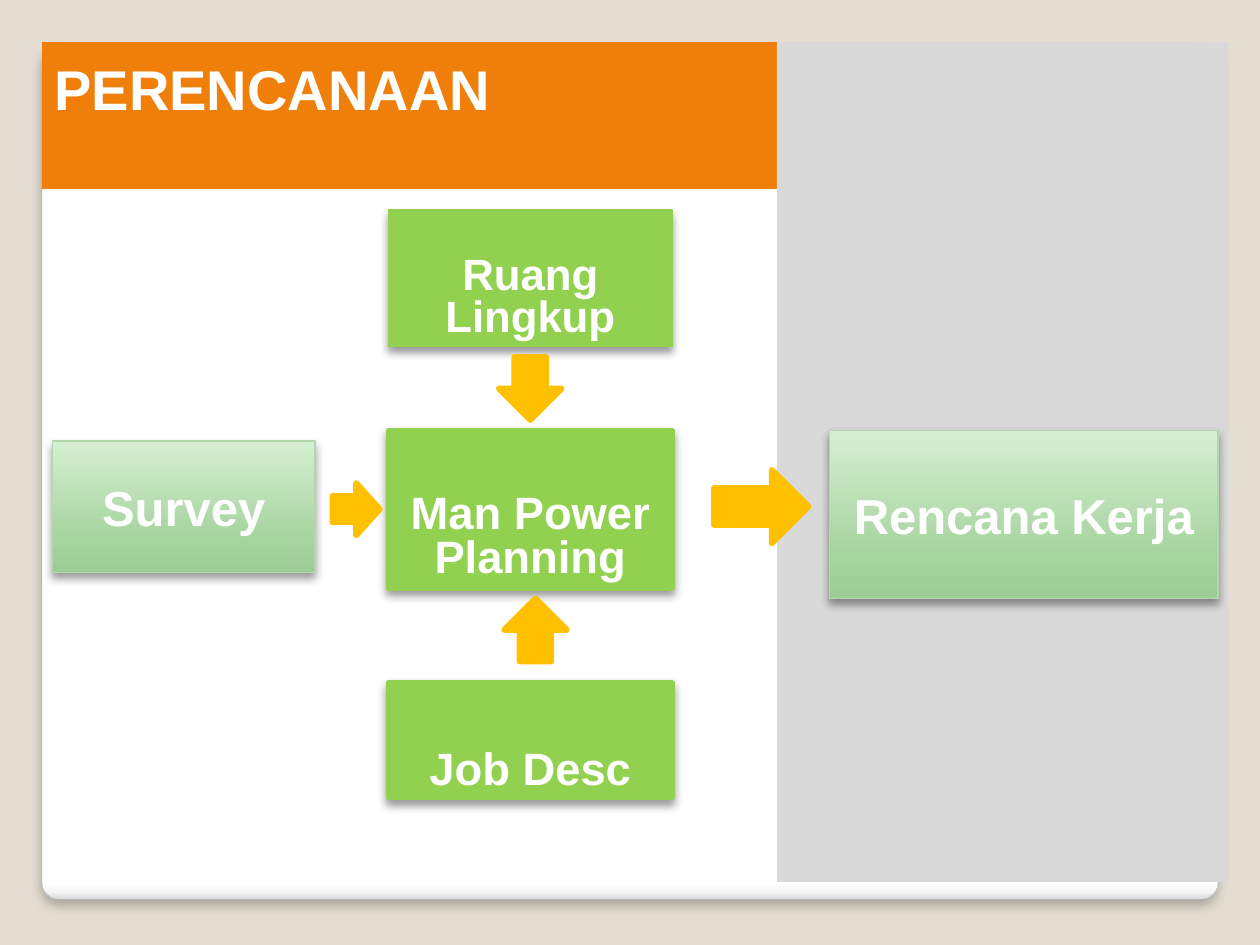
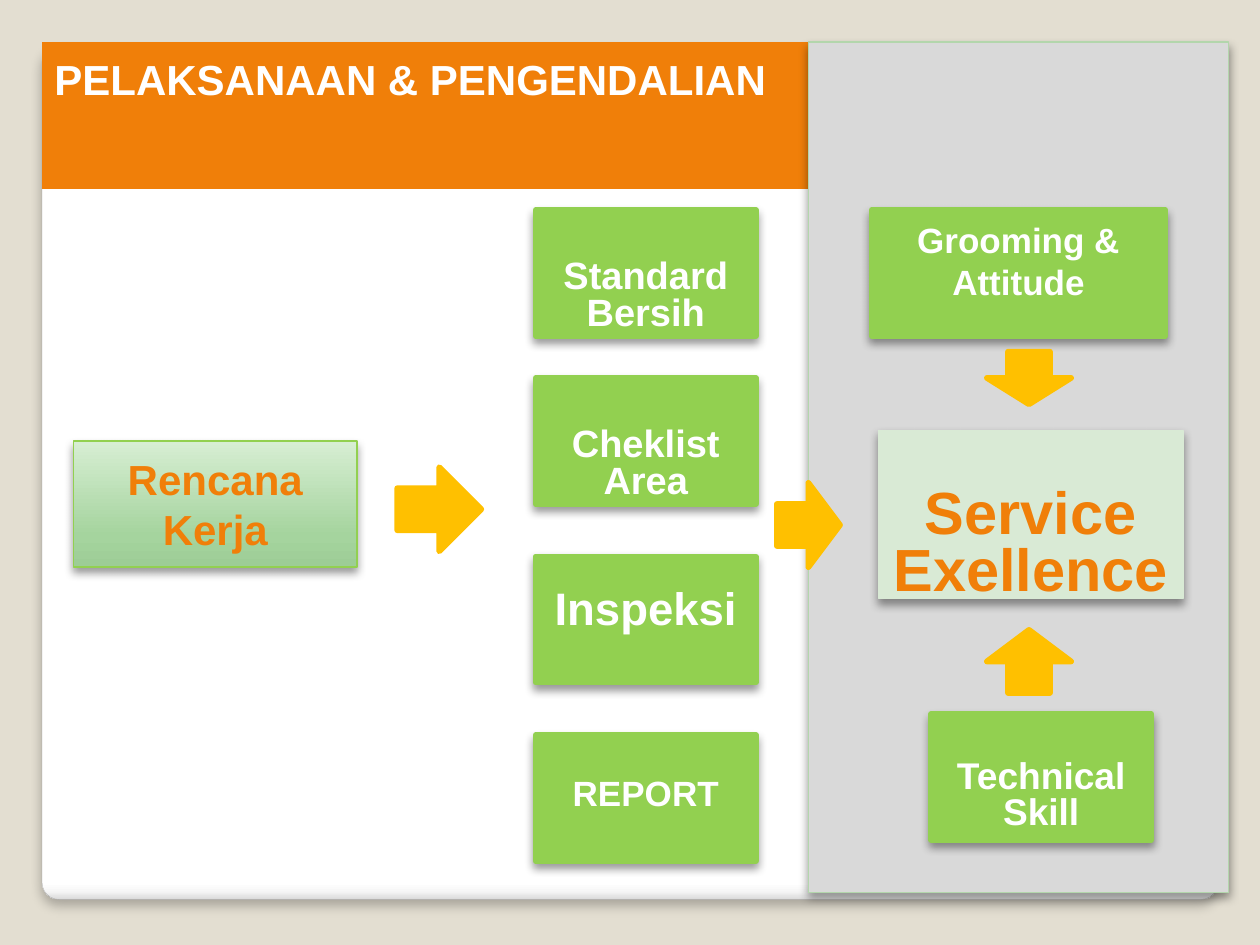
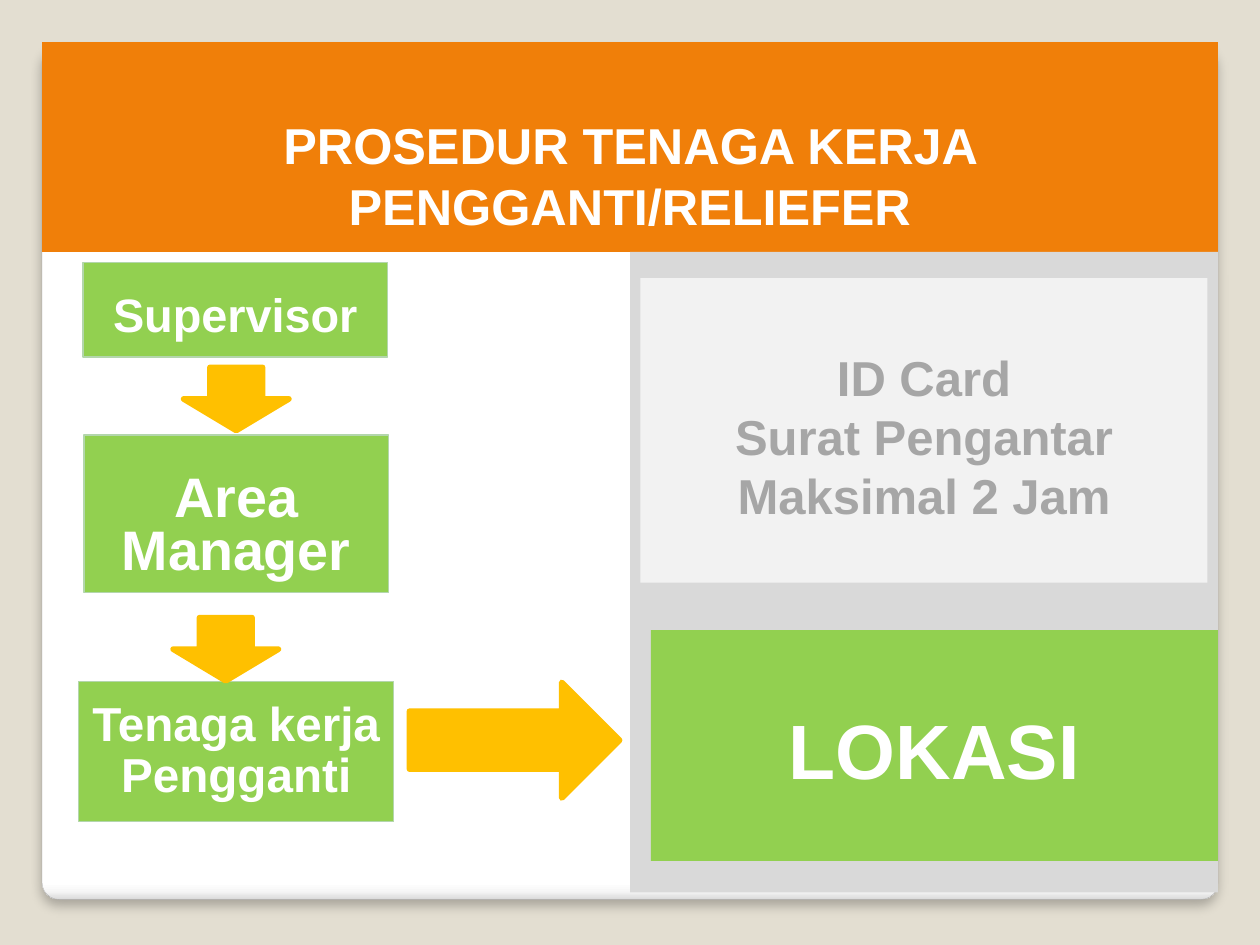
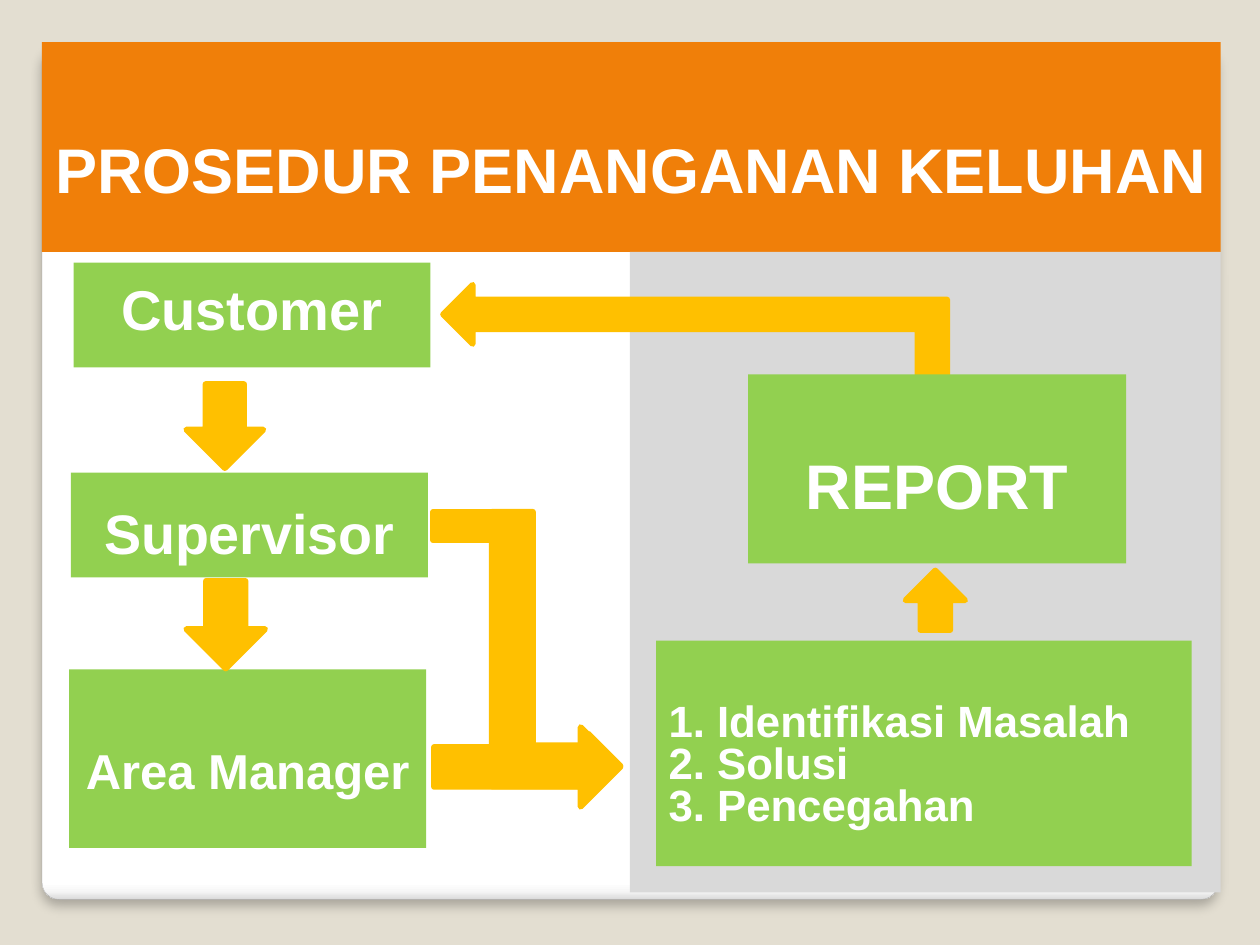
from lxml import etree
from pptx import Presentation
from pptx import util as u
from pptx.dml.color import RGBColor
from pptx.enum import shapes, text
from pptx.oxml import ns

Pt = u.Pt
KIND = shapes.MSO_SHAPE
CENTER, LEFT = text.PP_ALIGN.CENTER, text.PP_ALIGN.LEFT

# Shared colours and effects
SAND, ORANGE, GREEN, AMBER = "E3DED1", "F07F09", "92D050", "FFC000"
WHITE, GREY, PALE, SILVER = "FFFFFF", "D9D9D9", "F2F2F2", "A6A6A6"
MINT, MINT_EDGE = "D9EAD5", "B3D6AC"
MINT_FADE = (270, [(0, "9DCD96"), (25, "A5D49E"), (100, "D7EED3")])
PANEL_FADE = (90, [(0, WHITE), (98, WHITE), (99, "F7F7F7"), (100, "DADADA")])
BOX_SHADOW = (40, 5.2, 3)
PANEL_SHADOW = (25, 6, 4)

# Shared box looks: fill, edge, shadow
RAISED = {"fill": GREEN, "edge": (GREEN, 3), "shadow": BOX_SHADOW}
FADED = {"fill": MINT_FADE, "edge": (MINT_EDGE, 0.75), "shadow": BOX_SHADOW}
OUTLINED = {"fill": GREEN, "edge": (MINT_EDGE, 0.75)}
FLAT = {"fill": GREEN}


def color(value):
    return RGBColor.from_string(value)


def set_all(target, values):
    for name, value in values.items():
        setattr(target, name, value)


def add_node(parent, tag, **attributes):
    node = etree.SubElement(parent, ns.qn(tag))
    for name, value in attributes.items():
        node.set(name, str(value))
    return node


class Deck:
    """Holds the style and the slide being built."""

    def __init__(self):
        self.presentation = Presentation()
        set_all(self.presentation, {"slide_width": Pt(720), "slide_height": Pt(540)})
        self.slide = None

    def new_slide(self):
        """Start a slide with the sand background and the white panel."""
        self.slide = self.presentation.slides.add_slide(self.presentation.slide_layouts[6])
        background = self.slide.background.fill
        background.solid()
        background.fore_color.rgb = color(SAND)
        panel = self.shape((24, 26, 672, 488), PANEL_FADE, ("A4A4A4", 0.16),
                           PANEL_SHADOW, KIND.ROUNDED_RECTANGLE)
        panel.adjustments[0] = 0.02

    def shape(self, place, fill, edge=None, shadow=None, kind=KIND.RECTANGLE):
        """Add a preset shape; fill is a hex colour or (angle, stops)."""
        shape = self.slide.shapes.add_shape(kind, *map(Pt, place))
        if isinstance(fill, str):
            shape.fill.solid()
            shape.fill.fore_color.rgb = color(fill)
        else:
            self.fade(shape, *fill)
        if edge:
            shape.line.color.rgb = color(edge[0])
            shape.line.width = Pt(edge[1])
        else:
            shape.line.fill.background()
        shape.shadow.inherit = False
        if shadow:
            self.cast(shape, *shadow)
        return shape

    def fade(self, shape, angle, stops):
        """Replace the fill by a linear gradient."""
        shape.fill.background()
        properties = shape._element.spPr
        gradient = etree.Element(ns.qn("a:gradFill"), rotWithShape="1")
        stop_list = add_node(gradient, "a:gsLst")
        for position, value in stops:
            stop = add_node(stop_list, "a:gs", pos=position * 1000)
            add_node(stop, "a:srgbClr", val=value)
        add_node(gradient, "a:lin", ang=angle * 60000, scaled=0)
        properties.replace(properties.find(ns.qn("a:noFill")), gradient)

    def cast(self, shape, opacity, blur, distance):
        """Drop a black shadow straight down."""
        effects = shape._element.spPr.find(ns.qn("a:effectLst"))
        outer = add_node(effects, "a:outerShdw", blurRad=Pt(blur), dist=Pt(distance),
                         dir=90 * 60000, algn="ctr", rotWithShape=0)
        black = add_node(outer, "a:srgbClr", val="000000")
        add_node(black, "a:alpha", val=opacity * 1000)

    def box(self, place, words, size, top=None, ink=WHITE, spacing=1.0, align=CENTER, **look):
        """Add a labelled box; without a top inset the text is centred vertically."""
        shape = self.shape(place, **look)
        frame = shape.text_frame
        middle = top is None
        set_all(frame, {
            "word_wrap": True,
            "auto_size": text.MSO_AUTO_SIZE.NONE,
            "vertical_anchor": text.MSO_ANCHOR.MIDDLE if middle else text.MSO_ANCHOR.TOP,
            "margin_left": Pt(7.2), "margin_right": Pt(7.2),
            "margin_top": Pt(3.6 if middle else top),
            "margin_bottom": Pt(3.6 if middle else 0),
        })
        frame.text = words
        for paragraph in frame.paragraphs:
            set_all(paragraph, {"alignment": align, "line_spacing": spacing})
            for run in paragraph.runs:
                set_all(run.font, {"name": "Arial", "size": Pt(size), "bold": True})
                run.font.color.rgb = color(ink)

    def title(self, words, size, top, width=666, height=84, align=LEFT):
        self.box((24, 24, width, height), words, size, top, align=align, fill=ORANGE)

    def arrow(self, kind, *place, rotation=0, adjustments=()):
        shape = self.shape(place, AMBER, (AMBER, 3.35), kind=kind)
        shape.rotation = rotation
        for index, value in enumerate(adjustments):
            shape.adjustments[index] = value


def planning(deck):
    deck.new_slide()
    deck.title("PERENCANAAN", 32, 7)
    deck.shape((444, 24, 258, 480), GREY)

    # Inputs, centre and result
    deck.box((222, 120, 162, 78), "Ruang Lingkup", 25, 27, spacing=0.8,
             **{**RAISED, "edge": (GREEN, 0.75)})
    deck.box((222, 246, 162, 90), "Man Power Planning", 25.9, 36.8, spacing=0.8, **RAISED)
    deck.box((222, 390, 162, 66), "Job Desc", 25.9, 36.5, spacing=0.9, **RAISED)
    deck.box((30, 252, 150, 75), "Survey", 28, **FADED)
    deck.box((474, 246, 222, 96), "Rencana Kerja", 28, **FADED)

    # Flow
    deck.arrow(KIND.RIGHT_ARROW, 408, 268.5, 54, 42)
    deck.arrow(KIND.DOWN_ARROW, 285, 204, 36, 36)
    deck.arrow(KIND.UP_ARROW, 288, 342, 36, 36)
    deck.arrow(KIND.RIGHT_ARROW, 190, 276, 27, 30)


def execution(deck):
    deck.new_slide()
    deck.title("PELAKSANAAN & PENGENDALIAN", 24, 6.3)
    deck.shape((462, 24, 240, 486), GREY, (MINT_EDGE, 0.75), BOX_SHADOW)

    # Work plan and control steps
    deck.box((42, 252, 162, 72), "Rencana Kerja", 24, ink=ORANGE,
             **{**FADED, "edge": (GREEN, 0.75)})
    steps = [(120, "Standard Bersih", 21.7, 29, 0.8), (216, "Cheklist Area", 21.7, 29, 0.8),
             (318, "Inspeksi", 26, 13.7, 1.0), (420, "REPORT", 20, 21, 1.0)]
    for y, words, size, top, spacing in steps:
        deck.box((306, y, 126, 72), words, size, top, spacing=spacing, **RAISED)

    # Service column
    deck.box((498, 120, 168, 72), "Grooming & Attitude", 20, 5, **RAISED)
    deck.box((502, 246, 174, 96), "Service Exellence", 34, 33.2, ORANGE, 0.8,
             fill=MINT, edge=(MINT, 0.75), shadow=BOX_SHADOW)
    deck.box((532, 408, 126, 72), "Technical Skill", 21.2, 27, spacing=0.8, **RAISED)

    # Flow
    deck.arrow(KIND.RIGHT_ARROW, 227, 267, 48, 48)
    deck.arrow(KIND.RIGHT_ARROW, 444, 276, 36, 48)
    deck.arrow(KIND.DOWN_ARROW, 564, 201, 48, 30)
    deck.arrow(KIND.UP_ARROW, 564, 360, 48, 36)


def replacement(deck):
    deck.new_slide()
    deck.title("PROSEDUR TENAGA KERJA PENGGANTI/RELIEFER", 28.8, 41.4, 672, 120, CENTER)
    deck.shape((360, 144, 336, 366), GREY)

    # Chain of people
    deck.box((47.5, 150, 174, 54), "Supervisor", 26.8, 19.5, spacing=0.8, **OUTLINED)
    deck.box((48, 248.5, 174, 90), "Area Manager", 31.8, 22.7, spacing=0.8, **OUTLINED)
    deck.box((45, 389.5, 180, 80), "Tenaga kerja Pengganti", 27.2, spacing=0.9, **OUTLINED)

    # Requirements and destination
    deck.box((366, 159, 324, 174), "ID Card\nSurat Pengantar\nMaksimal 2 Jam", 28, 39.6,
             SILVER, fill=PALE)
    deck.box((372, 360, 324, 132), "LOKASI", 44, 41.3, **FLAT)

    # Flow
    deck.arrow(KIND.DOWN_ARROW, 105, 210, 60, 36)
    deck.arrow(KIND.DOWN_ARROW, 99, 353, 60, 36)
    deck.arrow(KIND.RIGHT_ARROW, 234, 390, 120, 66)


def complaints(deck):
    deck.new_slide()
    deck.title("PROSEDUR PENANGANAN KELUHAN", 36, 50.3, 673.5, 120, CENTER)
    deck.shape((360, 144, 337.5, 366), GREY)

    # Escalation and resolution
    deck.box((42, 150, 204, 60), "Customer", 32, 7, **FLAT)
    deck.box((40.5, 270, 204, 60), "Supervisor", 31.8, 22.2, spacing=0.8, **FLAT)
    deck.box((39.5, 382.5, 204, 102), "Area Manager", 28, 40.9, **FLAT)
    deck.box((375, 366, 306, 129), "1. Identifikasi Masalah\n2. Solusi\n3. Pencegahan",
             25, 36.2, spacing=0.8, align=LEFT, **FLAT)

    # Flow
    deck.arrow(KIND.DOWN_ARROW, 106.5, 219.5, 44, 48)
    deck.arrow(KIND.DOWN_ARROW, 106.5, 332, 45, 50)
    deck.arrow(KIND.UP_ARROW, 517.5, 326, 34, 34)
    deck.arrow(KIND.BENT_UP_ARROW, 363.5, 52.5, 67.5, 288, rotation=270)
    deck.arrow(KIND.BENT_UP_ARROW, 236, 337.5, 163.5, 73.5, rotation=90,
               adjustments=(0.32, 0.25, 0.25))
    deck.arrow(KIND.CORNER, 247.5, 292.5, 55.5, 32.5, rotation=180)
    deck.arrow(KIND.UP_ARROW, 278.5, 385, 45.5, 106.5, rotation=90)

    # The report covers the foot of the return arrow
    deck.box((427.5, 214, 216, 108), "REPORT", 36, 41, **FLAT)


def main():
    deck = Deck()
    for build in (planning, execution, replacement, complaints):
        build(deck)
    deck.presentation.save("out.pptx")


if __name__ == "__main__":
    main()
